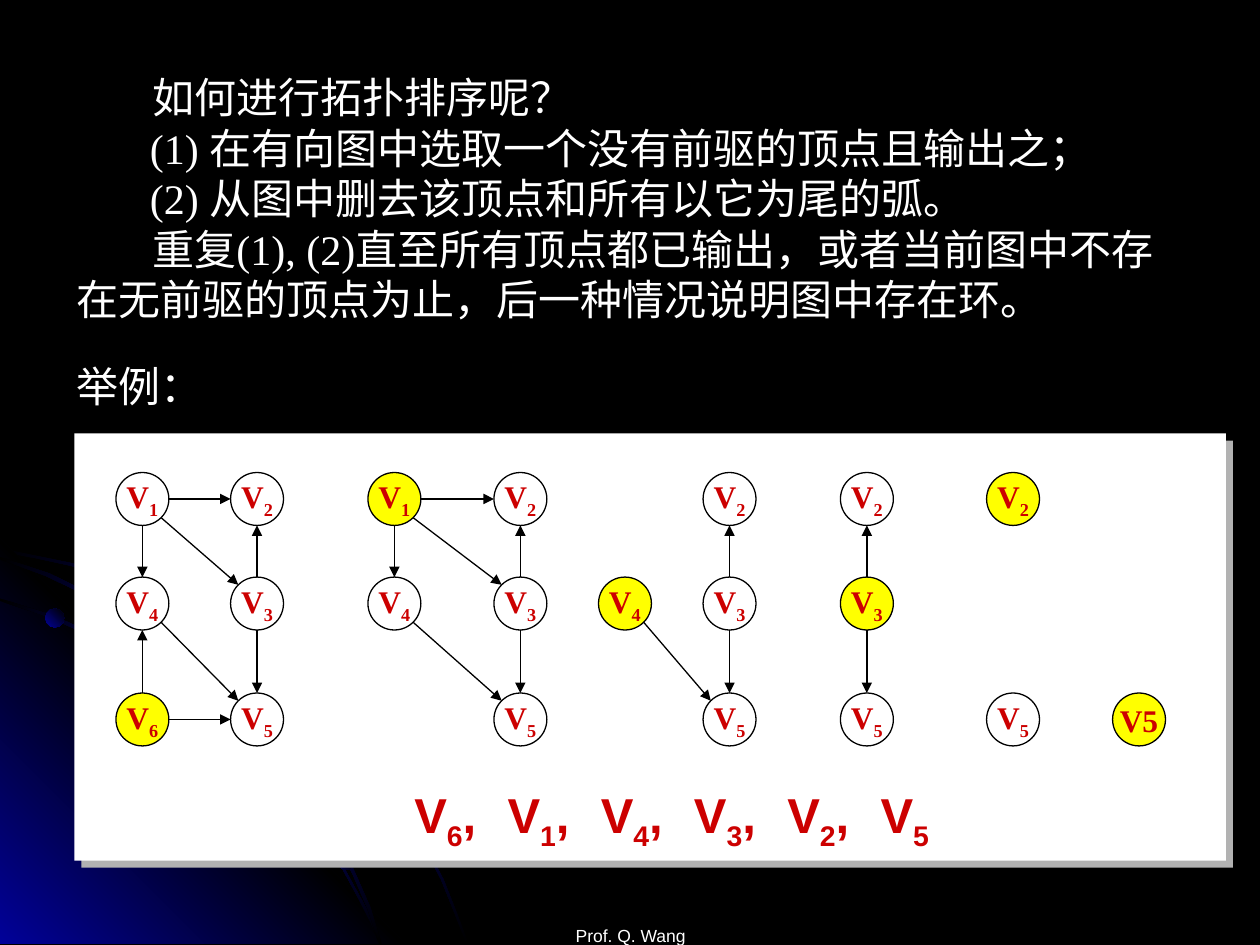
from lxml import etree
from pptx import Presentation
from pptx import util as u
from pptx.dml.color import RGBColor
from pptx.enum import lang, shapes, text
from pptx.oxml import parse_xml
from pptx.oxml import ns

COLORS = {
    "black": "000000",
    "white": "FFFFFF",
    "navy": "010199",
    "yellow": "FFFF00",
    "red": "CC0000",
    "shadow": "B2B2B2",
}

ARCS = [
    [(0.57, 4.47), (0.28, 4.41), (0, 4.35), (0, 4.38), (0.28, 4.43), (0.56, 4.49),
     (0.97, 4.61), (1.35, 4.78), (1.73, 4.99), (2.08, 5.23), (2.41, 5.49), (2.71, 5.79),
     (2.98, 6.12), (3.23, 6.49), (3.37, 6.73), (3.5, 6.98), (3.6, 7.23), (3.7, 7.49),
     (3.72, 7.49), (3.62, 7.23), (3.52, 6.98), (3.39, 6.73), (3.25, 6.48), (3, 6.11),
     (2.72, 5.78), (2.42, 5.48), (2.09, 5.21), (1.74, 4.97), (1.36, 4.77), (0.98, 4.59)],
    [(2.85, 7.14), (2.94, 7.32), (3.01, 7.49), (3.03, 7.49), (2.96, 7.3), (2.86, 7.12),
     (2.66, 6.76), (2.42, 6.4), (2.15, 6.06), (1.84, 5.76), (1.52, 5.49), (1.17, 5.26),
     (0.79, 5.05), (0.41, 4.88), (0, 4.75), (0, 4.77), (0.39, 4.9), (0.77, 5.07),
     (1.15, 5.28), (1.5, 5.51), (1.83, 5.78), (2.13, 6.08), (2.4, 6.42), (2.65, 6.77)],
    [(0, 4.42), (0, 4.44), (0.36, 4.57), (0.74, 4.75), (1.09, 4.94), (1.42, 5.18),
     (1.73, 5.44), (2.02, 5.75), (2.27, 6.05), (2.52, 6.41), (2.67, 6.67), (2.8, 6.94),
     (2.92, 7.22), (3.01, 7.49), (3.03, 7.49), (2.94, 7.2), (2.82, 6.93), (2.69, 6.65),
     (2.54, 6.39), (2.29, 6.03), (2.04, 5.73), (1.75, 5.43), (1.44, 5.16), (1.11, 4.93),
     (0.76, 4.73), (0.39, 4.55)],
]
CORNER = [(3.22, 7.49), (0, 7.49), (0, 4.27)]

DIAMETER = 0.42
ROWS = [3.75, 4.58, 5.5]
VERTICES = {1: (0, 0), 2: (1, 0), 4: (0, 1), 3: (1, 1), 6: (0, 2), 5: (1, 2)}
EDGES = [(1, 2), (1, 4), (1, 3), (4, 5), (3, 2), (6, 4), (6, 5), (3, 5)]
ORDER = [6, 1, 4, 3, 2, 5]
STAGE_COLUMNS = [(0.92, 1.83), (2.92, 3.92), (4.75, 5.58), (5.83, 6.67), (6.83, 7.83), (7.83, 8.83)]

STEPS = [
    ("如何进行拓扑排序呢？", 0.6),
    ("(1) 在有向图中选取一个没有前驱的顶点且输出之；", 0.58),
    ("(2) 从图中删去该顶点和所有以它为尾的弧。", 0.58),
    ("重复(1), (2)直至所有顶点都已输出，或者当前图中不存在无前驱的顶点为止，后一种情况说明图中存在环。", 0.6),
]


def rgb(name):
    return RGBColor.from_string(COLORS[name])


def write_text(paragraph, content, size, color, font="Times New Roman", bold=False, align=None, chinese=False):
    paragraph.alignment = align
    for index, part in enumerate(content.split("_")):
        pieces = [(part, False)] if index == 0 else [(part[0], True), (part[1:], False)]
        for piece, subscript in pieces:
            if not piece:
                continue
            run = paragraph.add_run()
            run.text = piece
            run.font.size = u.Pt(size)
            run.font.name = font
            run.font.bold = bold
            run.font.color.rgb = rgb(color)
            if chinese:
                run.font.language_id = lang.MSO_LANGUAGE_ID.SIMPLIFIED_CHINESE
            if subscript:
                run.font._element.set("baseline", "-25000")


def add_label(slide, box, content, wrap=False, bottom=False, **style):
    label = slide.shapes.add_textbox(*map(u.Inches, box))
    frame = label.text_frame
    frame.word_wrap = wrap
    if bottom:
        frame.vertical_anchor = text.MSO_ANCHOR.BOTTOM
        frame.margin_bottom = 0
    write_text(frame.paragraphs[0], content, **style)


def add_preset(slide, kind, box, fill=None, outlined=False):
    shape = slide.shapes.add_shape(kind, *map(u.Inches, box))
    shape.shadow.inherit = False
    if fill:
        shape.fill.solid()
        shape.fill.fore_color.rgb = rgb(fill)
    else:
        shape.fill.background()
    if outlined:
        shape.line.color.rgb = rgb("black")
        shape.line.width = u.Pt(0.75)
    else:
        shape.line.fill.background()
    return shape


def set_gradient(shape, names, angle):
    shape.fill.background()
    stops = "".join(
        f'<a:gs pos="{100000 * index // (len(names) - 1)}"><a:srgbClr val="{COLORS[name]}"/></a:gs>'
        for index, name in enumerate(names))
    gradient = parse_xml(
        f'<a:gradFill {ns.nsdecls("a")} rotWithShape="1"><a:gsLst>{stops}</a:gsLst>'
        f'<a:lin ang="{angle * 60000}" scaled="0"/></a:gradFill>')
    properties = shape._element.spPr
    properties.replace(properties.find(ns.qn("a:noFill")), gradient)


def add_outline(slide, points, names, angle):
    corners = [(u.Inches(x), u.Inches(y)) for x, y in points]
    builder = slide.shapes.build_freeform(*corners[0])
    builder.add_line_segments(corners[1:], close=True)
    shape = builder.convert_to_shape()
    shape.shadow.inherit = False
    shape.line.fill.background()
    set_gradient(shape, names, angle)


def add_backdrop(slide):
    slide.background.fill.solid()
    slide.background.fill.fore_color.rgb = rgb("black")
    band = ["black", "navy", "black"]
    add_outline(slide, ARCS[0], band, 45)
    add_outline(slide, CORNER, ["navy", "black", "navy"], 315)
    for arc in ARCS[1:]:
        add_outline(slide, arc, band, 45)
    for box, angle in [((0.36, 4.83, 0.15, 0.15), 315), ((2.67, 6.74, 0.16, 0.16), 45)]:
        dot = add_preset(slide, shapes.MSO_SHAPE.OVAL, box)
        set_gradient(dot, ["navy", "black"], angle)


def add_panel(slide):
    panel = add_preset(slide, shapes.MSO_SHAPE.RECTANGLE, (0.59, 3.44, 9.14, 3.39), "white")
    effects = panel._element.spPr.find(ns.qn("a:effectLst"))
    shadow = etree.SubElement(effects, ns.qn("a:outerShdw"), dist=str(u.Pt(5.7)), dir="2700000",
                              algn="ctr", rotWithShape="0")
    etree.SubElement(shadow, ns.qn("a:srgbClr"), val=COLORS["shadow"])


def add_vertex(slide, left, top, content, chosen):
    vertex = add_preset(slide, shapes.MSO_SHAPE.OVAL, (left, top, DIAMETER, DIAMETER),
                        "yellow" if chosen else None, outlined=True)
    frame = vertex.text_frame
    frame.word_wrap = False
    frame.vertical_anchor = text.MSO_ANCHOR.MIDDLE
    write_text(frame.paragraphs[0], content, 18, "red", bold=True, align=text.PP_ALIGN.CENTER)


def add_arrow(slide, start, end):
    reach = DIAMETER / 2
    across = (end[0] > start[0]) - (end[0] < start[0])
    down = (end[1] > start[1]) - (end[1] < start[1])
    if across and down:
        reach *= 0.5 ** 0.5
    center = DIAMETER / 2
    ends = [start[0] + center + across * reach, start[1] + center + down * reach,
            end[0] + center - across * reach, end[1] + center - down * reach]
    arrow = slide.shapes.add_connector(shapes.MSO_CONNECTOR.STRAIGHT, *map(u.Inches, ends))
    arrow.line.color.rgb = rgb("black")
    arrow.line.width = u.Pt(0.75)
    etree.SubElement(arrow.line._get_or_add_ln(), ns.qn("a:tailEnd"), type="triangle")
    etree.SubElement(arrow._element.spPr, ns.qn("a:effectLst"))


def add_stage(slide, columns, remaining):
    places = {vertex: (columns[VERTICES[vertex][0]], ROWS[VERTICES[vertex][1]]) for vertex in remaining}
    for vertex, place in places.items():
        content = f"V_{vertex}" if len(remaining) > 1 else f"V{vertex}"
        add_vertex(slide, *place, content, chosen=vertex == remaining[0])
    for tail, head in EDGES:
        if tail in places and head in places:
            add_arrow(slide, places[tail], places[head])


def add_steps(slide):
    title, body = slide.placeholders
    title._element.getparent().remove(title._element)
    body.left, body.top, body.width, body.height = map(u.Inches, (0.51, 0.52, 9.02, 2.1))
    frame = body.text_frame
    frame.auto_size = text.MSO_AUTO_SIZE.NONE
    for index, (content, indent) in enumerate(STEPS):
        paragraph = frame.add_paragraph() if index else frame.paragraphs[0]
        properties = paragraph._p.get_or_add_pPr()
        properties.set("marL", "0")
        properties.set("indent", str(u.Inches(indent)))
        etree.SubElement(properties, ns.qn("a:buNone"))
        paragraph.space_before = u.Pt(0)
        write_text(paragraph, content, 24, "white", chinese=True)


def main():
    presentation = Presentation()
    presentation.slide_width, presentation.slide_height = u.Inches(10), u.Inches(7.5)
    slide = presentation.slides.add_slide(presentation.slide_layouts[1])
    add_steps(slide)
    add_backdrop(slide)
    add_label(slide, (3.42, 7.01, 3.17, 0.5), "Prof. Q. Wang", wrap=True, bottom=True,
              size=10, color="white", font="Arial", align=text.PP_ALIGN.CENTER)
    add_panel(slide)
    for index, columns in enumerate(STAGE_COLUMNS):
        add_stage(slide, columns, ORDER[index:])
    for index, vertex in enumerate(ORDER):
        comma = "," if index < len(ORDER) - 1 else ""
        add_label(slide, (3.19 + 0.74 * index, 6.18, 0.8, 0.63), f"V_{vertex}{comma}",
                  size=28, color="red", font="Arial", bold=True)
    add_label(slide, (0.51, 2.81, 1.2, 0.5), "举例：", size=24, color="white", chinese=True)
    presentation.save("out.pptx")


if __name__ == "__main__":
    main()
